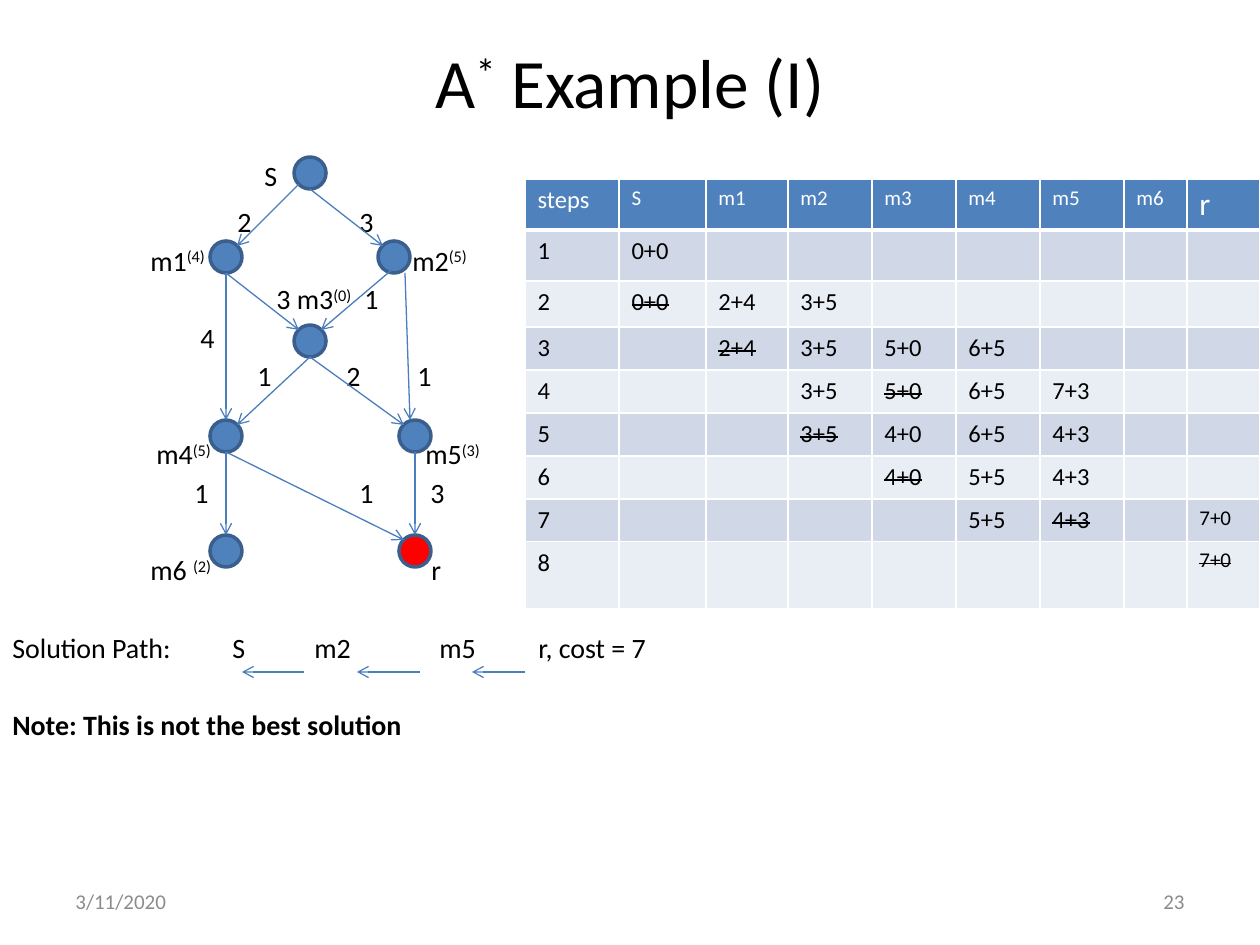
from lxml import etree
from pptx import Presentation
from pptx.dml.color import RGBColor
from pptx.enum.shapes import MSO_CONNECTOR, MSO_SHAPE
from pptx.enum.text import MSO_ANCHOR, PP_ALIGN
from pptx.oxml.ns import qn
from pptx.util import Emu, Pt

STRAIGHT = MSO_CONNECTOR.STRAIGHT
ELLIPSE = MSO_SHAPE.OVAL
MIDDLE, TOP = MSO_ANCHOR.MIDDLE, MSO_ANCHOR.TOP
LEFT, CENTER, RIGHT = PP_ALIGN.LEFT, PP_ALIGN.CENTER, PP_ALIGN.RIGHT

PX_PER_INCH = 126
FONT = "Calibri"
COLORS = {
    "text": "000000", "white": "FFFFFF", "footer": "8C8C8C",
    "blue": "4F81BD", "outline": "3A5F8C", "arrow": "4B7EBC",
    "goal": "FF0000", "odd row": "D0D8E8", "even row": "E9EDF4",
}

# Search graph: node centres, and the points on a node where arrows attach
NODE_SIZE = 32
NODES = {
    "S": (310, 173), "m1": (226, 257), "m2": (394, 257), "m3": (310, 341),
    "m4": (226, 436), "m5": (415, 436), "m6": (226, 551), "r": (415, 551),
}
SITES = {
    "top": (0, -16), "bottom": (0, 16), "top left": (-11, -11),
    "top right": (11, -11), "bottom left": (-11, 11),
    "inner bottom": (0, 11), "right of bottom": (11, 16), "left of top": (-5, -16),
}
EDGES = [
    ("S", "bottom left", "m1", "top right"), ("S", "bottom", "m2", "top left"),
    ("m1", "bottom", "m3", "top left"), ("m2", "inner bottom", "m3", "top right"),
    ("m1", "bottom", "m4", "top"), ("m2", "right of bottom", "m5", "left of top"),
    ("m3", "bottom", "m4", "top right"), ("m3", "bottom", "m5", "top left"),
    ("m5", "bottom", "r", "top"), ("m4", "bottom", "r", "top left"),
    ("m4", "bottom", "m6", "top"),
]
PATH_ARROWS = [(304, 242), (420, 357), (525, 472)]
PATH_ARROW_Y = 672

# Body lines: space before, tab positions, text (raised parts between bars), bold
LINE_GAP, SKIPPED_LINE = 5, 44
BODY_LINES = [
    (0, [252], "\tS", False),
    (12, [225, 347], "\t2\t3", False),
    (LINE_GAP, [138, 400], "\tm1|(4)|\tm2|(5)", False),
    (LINE_GAP, [264, 352], "\t3 m3|(0)|\t1", False),
    (LINE_GAP, [188], "\t4", False),
    (LINE_GAP, [245, 334, 405], "\t1\t2\t1", False),
    (SKIPPED_LINE, [144, 413], "\tm4|(5)|\tm5|(3)", False),
    (LINE_GAP, [182, 347, 418], "\t1\t1\t3", False),
    (SKIPPED_LINE, [138, 419], "\tm6 |(2)|\tr", False),
    (SKIPPED_LINE, [220, 302, 427, 526],
     "Solution Path:\tS\tm2\tm5\tr, cost = 7", False),
    (SKIPPED_LINE, [], "Note: This is not the best solution", True),
]

# Step table: a leading ~ marks a struck-out value
COLUMN_WIDTHS = [94, 87, 82, 84, 84, 84, 84, 63, 73]
ROW_HEIGHTS = [51, 51, 46, 43, 43, 43, 43, 43, 67]
STEPS = [
    ["steps", "S", "m1", "m2", "m3", "m4", "m5", "m6", "r"],
    ["1", "0+0", "", "", "", "", "", "", ""],
    ["2", "~0+0", "2+4", "3+5", "", "", "", "", ""],
    ["3", "", "~2+4", "3+5", "5+0", "6+5", "", "", ""],
    ["4", "", "", "3+5", "~5+0", "6+5", "7+3", "", ""],
    ["5", "", "", "~3+5", "4+0", "6+5", "4+3", "", ""],
    ["6", "", "", "", "~4+0", "5+5", "4+3", "", ""],
    ["7", "", "", "", "", "5+5", "~4+3", "", "7+0"],
    ["8", "", "", "", "", "", "", "", "~7+0"],
]


def px(length):
    return Emu(round(length * 914400 / PX_PER_INCH))


def rgb(name):
    return RGBColor.from_string(COLORS[name])


def write_text(paragraph, text, size, color="text", bold=False, strike=False):
    """Add text to a paragraph; every second part between bars is raised."""
    for index, part in enumerate(text.split("|")):
        run = paragraph.add_run()
        run.text = part
        run.font.name, run.font.size, run.font.bold = FONT, Pt(size), bold
        run.font.color.rgb = rgb(color)
        properties = run.font._element
        if index % 2:
            properties.set("baseline", "30000")
        if strike:
            properties.set("strike", "sngStrike")


def add_text_box(slide, left, top, width, height, anchor=MIDDLE):
    frame = slide.shapes.add_textbox(px(left), px(top), px(width), px(height)).text_frame
    frame.word_wrap = True
    frame.vertical_anchor = anchor
    return frame


def add_line_of_text(slide, box, text, size, color="text", align=LEFT):
    paragraph = add_text_box(slide, *box).paragraphs[0]
    paragraph.alignment = align
    write_text(paragraph, text, size, color)


def set_tabs(paragraph, positions):
    tab_list = etree.SubElement(paragraph._p.get_or_add_pPr(), qn("a:tabLst"))
    for position in positions:
        etree.SubElement(tab_list, qn("a:tab"), pos=str(px(position)), algn="l")


def add_body(slide):
    frame = add_text_box(slide, 0, 126, 1260, 683, anchor=TOP)
    frame.margin_top = px(33)
    for index, (gap, tabs, text, bold) in enumerate(BODY_LINES):
        paragraph = frame.add_paragraph() if index else frame.paragraphs[0]
        paragraph.space_before = px(gap)
        if tabs:
            set_tabs(paragraph, tabs)
        write_text(paragraph, text, 16, bold=bold)


def add_node(slide, name):
    x, y = NODES[name]
    corner = NODE_SIZE // 2
    shape = slide.shapes.add_shape(
        ELLIPSE, px(x - corner), px(y - corner), px(NODE_SIZE), px(NODE_SIZE))
    shape.shadow.inherit = False
    shape.fill.solid()
    shape.fill.fore_color.rgb = rgb("goal" if name == "r" else "blue")
    shape.line.color.rgb = rgb("outline")
    shape.line.width = Pt(2)


def add_arrow(slide, start, end):
    connector = slide.shapes.add_connector(STRAIGHT, *map(px, start + end))
    connector.line.color.rgb = rgb("arrow")
    connector.line.width = Pt(0.75)
    etree.SubElement(connector.line._get_or_add_ln(), qn("a:tailEnd"), type="arrow")
    etree.SubElement(connector._element.spPr, qn("a:effectLst"))


def site_point(node, site):
    return tuple(center + offset for center, offset in zip(NODES[node], SITES[site]))


def set_borders(cell, bottom_width):
    properties = cell._tc.get_or_add_tcPr()
    for index, side in enumerate(("lnL", "lnR", "lnT", "lnB")):
        width = Pt(bottom_width if side == "lnB" else 1)
        line = etree.Element(qn("a:" + side), w=str(width))
        fill = etree.SubElement(line, qn("a:solidFill"))
        etree.SubElement(fill, qn("a:srgbClr"), val=COLORS["white"])
        properties.insert(index, line)


def cell_size(row, column):
    if row == 0:
        return {0: 14, 8: 18}.get(column, 12)
    return 12 if column == 8 else 14


def fill_cell(cell, row, column, text):
    header = row == 0
    cell.fill.solid()
    cell.fill.fore_color.rgb = rgb(
        "blue" if header else "odd row" if row % 2 else "even row")
    set_borders(cell, 3 if header else 1)
    paragraph = cell.text_frame.paragraphs[0]
    size = cell_size(row, column)
    if text:
        write_text(paragraph, text.lstrip("~"), size,
                   color="white" if header else "text", strike=text.startswith("~"))
    else:
        paragraph._p.get_or_add_endParaRPr().set("sz", str(size * 100))


def add_step_table(slide):
    table = slide.shapes.add_table(
        len(STEPS), len(COLUMN_WIDTHS), px(525), px(179),
        px(sum(COLUMN_WIDTHS)), px(sum(ROW_HEIGHTS))).table
    for column, width in zip(table.columns, COLUMN_WIDTHS):
        column.width = px(width)
    for row, height in zip(table.rows, ROW_HEIGHTS):
        row.height = px(height)
    for row, values in enumerate(STEPS):
        for column, text in enumerate(values):
            fill_cell(table.cell(row, column), row, column, text)


def main():
    presentation = Presentation()
    presentation.slide_width, presentation.slide_height = px(1260), px(945)
    slide = presentation.slides.add_slide(presentation.slide_layouts[6])

    # Text
    add_body(slide)
    add_line_of_text(slide, (63, 32, 1134, 98), "A|*| Example (I)", 39.6, align=CENTER)
    add_line_of_text(slide, (63, 876, 294, 50), "3/11/2020", 12, "footer")
    add_line_of_text(slide, (903, 876, 294, 50), "23", 12, "footer", RIGHT)

    # Graph
    for name in NODES:
        add_node(slide, name)
    for source, source_site, target, target_site in EDGES:
        add_arrow(slide, site_point(source, source_site), site_point(target, target_site))

    # Search steps and solution path
    add_step_table(slide)
    for start, end in PATH_ARROWS:
        add_arrow(slide, (start, PATH_ARROW_Y), (end, PATH_ARROW_Y))

    presentation.save("out.pptx")


if __name__ == "__main__":
    main()
